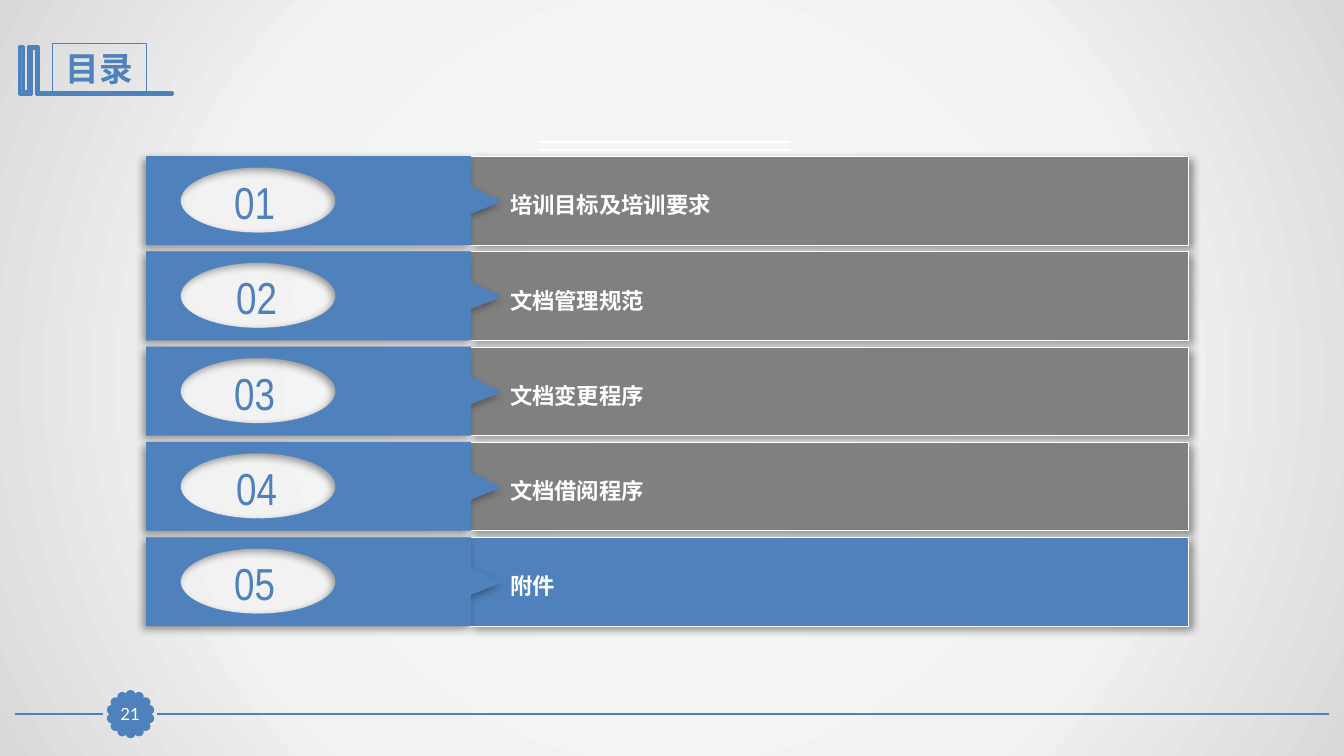
import math
from lxml import etree
from pptx import Presentation
from pptx.dml.color import RGBColor
from pptx.enum.shapes import MSO_CONNECTOR, MSO_SHAPE
from pptx.enum.text import MSO_ANCHOR, MSO_AUTO_SIZE, PP_ALIGN
from pptx.oxml import parse_xml
from pptx.oxml.ns import nsdecls, qn
from pptx.util import Inches, Pt

STRAIGHT = MSO_CONNECTOR.STRAIGHT
RECTANGLE, OVAL = MSO_SHAPE.RECTANGLE, MSO_SHAPE.OVAL
MIDDLE, TOP = MSO_ANCHOR.MIDDLE, MSO_ANCHOR.TOP
CENTER, LEFT = PP_ALIGN.CENTER, PP_ALIGN.LEFT
NO_AUTOFIT = MSO_AUTO_SIZE.NONE
BLUE, GRAY, WHITE = "4F81BD", "808080", "FFFFFF"


def paint(shape, fill, line, width, shadow_angle=None):
    shape.fill.solid()
    shape.fill.fore_color.rgb = RGBColor.from_string(fill)
    shape.line.color.rgb = RGBColor.from_string(line)
    shape.line.width = Pt(width)
    shape.shadow.inherit = False
    if shadow_angle is not None:
        effects = shape._element.spPr.find(qn("a:effectLst"))
        effects.append(parse_xml(
            f'<a:outerShdw {nsdecls("a")} blurRad="{Pt(6)}" dist="{Pt(3)}" '
            f'dir="{shadow_angle * 60000}" algn="tl" rotWithShape="0">'
            '<a:srgbClr val="000000"><a:alpha val="40000"/></a:srgbClr></a:outerShdw>'))


def write(shape, text, size, font, color, bold=False, align=CENTER, anchor=MIDDLE):
    frame = shape.text_frame
    frame.text = text
    frame.word_wrap = True
    frame.auto_size = NO_AUTOFIT
    frame.vertical_anchor = anchor
    para = frame.paragraphs[0]
    para.alignment = align
    span = para.runs[0]
    span.font.size = Pt(size)
    span.font.name = font
    span.font.bold = bold
    span.font.color.rgb = RGBColor.from_string(color)


deck = Presentation()
deck.slide_width, deck.slide_height = Inches(13.33), Inches(7.5)
page = deck.slides.add_slide(deck.slide_layouts[5])
shapes = page.shapes

stops = "".join(f'<a:gs pos="{place * 1000}"><a:srgbClr val="{color}"/></a:gs>'
                for place, color in [(0, "F6F9FC"), (63, "F2F2F2"), (100, "D9D9D9")])
page._element.cSld.insert(0, parse_xml(
    f'<p:bg {nsdecls("p", "a")}><p:bgPr><a:gradFill rotWithShape="1"><a:gsLst>{stops}</a:gsLst>'
    '<a:path path="circle"><a:fillToRect l="50000" t="50000" r="50000" b="50000"/></a:path>'
    '</a:gradFill><a:effectLst/></p:bgPr></p:bg>'))

for start, end, height, color, width in [
    (13.18, 1.56, 7.08, BLUE, 1.25),
    (1.02, 0.15, 7.08, BLUE, 1.25),
    (5.35, 7.84, 1.41, WHITE, 1.5),
    (5.35, 7.84, 1.49, WHITE, 1.5),
]:
    rule = shapes.add_connector(STRAIGHT, Inches(start), Inches(height), Inches(end), Inches(height))
    rule.line.color.rgb = RGBColor.from_string(color)
    rule.line.width = Pt(width)
    etree.SubElement(rule._element.spPr, qn("a:effectLst"))

PETALS = 14
badge = shapes.add_group_shape()
for index in range(PETALS):
    angle = 2 * math.pi * index / PETALS
    petal = badge.shapes.add_shape(
        OVAL, Inches(1.26 + 0.19 * math.sin(angle)), Inches(7.05 - 0.19 * math.cos(angle)),
        Inches(0.07), Inches(0.07))
    paint(petal, BLUE, BLUE, 2)

number = shapes.add_shape(RECTANGLE, Inches(1.13), Inches(6.93), Inches(0.32), Inches(0.31))
paint(number, BLUE, BLUE, 0.75)
write(number, "21", 12, "Lato", WHITE)
frame = number.text_frame
frame.margin_left = frame.margin_right = frame.margin_top = frame.margin_bottom = 0

books_outline = [
    (0.37, 0.46), (0.38, 0.46), (0.38, 0.92), (1.71, 0.92), (1.71, 0.94), (0.37, 0.94),
    (0.36, 0.94), (0.36, 0.48), (0.31, 0.48), (0.31, 0.94), (0.19, 0.94), (0.19, 0.46),
    (0.23, 0.46), (0.23, 0.91), (0.28, 0.91), (0.28, 0.46),
]
points = [(Inches(x), Inches(y)) for x, y in books_outline]
builder = shapes.build_freeform(*points[0])
builder.add_line_segments(points[1:], close=True)
paint(builder.convert_to_shape(), "28A9D6", BLUE, 2)

title = shapes.title
title.left, title.top, title.width, title.height = Inches(0.52), Inches(0.43), Inches(0.93), Inches(0.5)
title.line.color.rgb = RGBColor.from_string(BLUE)
title.line.width = Pt(0.75)
write(title, "目录", 24, "Arial Narrow", BLUE, bold=True)

chapters = ["培训目标及培训要求", "文档管理规范", "文档变更程序", "文档借阅程序", "附件"]
tab_outline = [(1.45, 0), (4.67, 0), (4.67, 0.3), (4.97, 0.45), (4.67, 0.57), (4.67, 0.88), (1.45, 0.88)]
hole_outline = [
    (2.56, 0.11),
    (2.13, 0.11), (1.79, 0.26), (1.79, 0.44),
    (1.79, 0.62), (2.13, 0.76), (2.56, 0.76),
    (2.99, 0.76), (3.33, 0.62), (3.33, 0.44),
    (3.33, 0.26), (2.99, 0.11), (2.56, 0.11),
]

for row, chapter in enumerate(chapters):
    top = 1.55 + row * 3.78 / 4
    entry = shapes.add_group_shape().shapes

    bar = entry.add_shape(RECTANGLE, Inches(4.65), Inches(top), Inches(7.14), Inches(0.88))
    paint(bar, BLUE if chapter == chapters[-1] else GRAY, WHITE, 0.25, 45)

    tab_points, hole_points = [
        [(Inches(x), Inches(top + y)) for x, y in outline] for outline in (tab_outline, hole_outline)]
    builder = entry.build_freeform(*hole_points[0])
    builder.add_line_segments(hole_points[1:], close=True)
    builder.move_to(*tab_points[0])
    builder.add_line_segments(tab_points[1:], close=True)
    tab = builder.convert_to_shape()
    segments = list(tab._element.iter(qn("a:lnTo")))[:len(hole_outline) - 1]
    for first in range(0, len(segments), 3):
        curve = etree.Element(qn("a:cubicBezTo"))
        segments[first].addprevious(curve)
        for segment in segments[first:first + 3]:
            curve.append(segment[0])
            segment.getparent().remove(segment)
    paint(tab, BLUE, BLUE, 0.25, 135)

    box = entry.add_textbox(Inches(1.91 + 0.02 * (row % 2)), Inches(top + 0.13), Inches(1.23), Inches(0.64))
    write(box, f"{row + 1:02d}", 32, "Arial Narrow", BLUE)

    box = entry.add_textbox(Inches(4.96), Inches(top + 0.3), Inches(6.81), Inches(0.37))
    write(box, chapter, 16, "Lato", WHITE, bold=True, align=LEFT, anchor=TOP)

deck.save("out.pptx")
